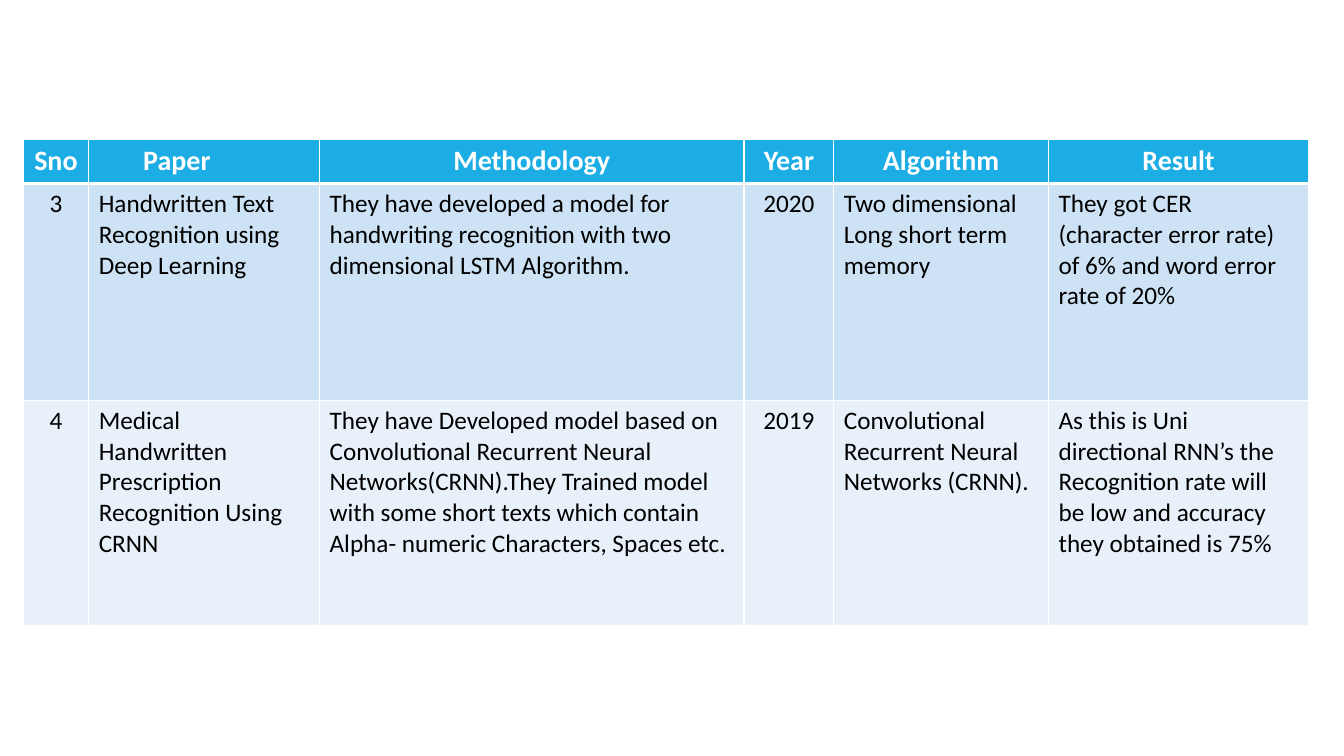
from lxml.etree import SubElement
from pptx import Presentation
from pptx.dml.color import RGBColor
from pptx.enum.text import PP_ALIGN as Align
from pptx.oxml.ns import qn
from pptx.util import Inches, Pt

COLUMN_WIDTHS = [0.65, 2.29, 4.21, 0.89, 2.13, 2.58]
ROW_HEIGHTS = [0.44, 2.15, 2.24]
ROW_FILLS = ["1CADE4", "CDE3F5", "E8F1FA"]
CENTERED_COLUMNS = {0, 3}
PAPER_COLUMN = 1
PAPER_HEADING_MARGIN = 0.54
PAPERS = [
    ["Sno", "Paper", "Methodology", "Year", "Algorithm", "Result"],
    [
        "3",
        "Handwritten Text Recognition using Deep Learning",
        "They have developed a model for handwriting recognition with two "
        "dimensional LSTM Algorithm.",
        "2020",
        "Two dimensional Long short term memory",
        "They got CER (character error rate) of 6% and word error rate of 20%",
    ],
    [
        "4",
        "Medical Handwritten Prescription Recognition Using CRNN",
        "They have Developed model based on Convolutional Recurrent Neural "
        "Networks(CRNN).They Trained model with some short texts which contain "
        "Alpha- numeric Characters, Spaces etc.",
        "2019",
        "Convolutional Recurrent Neural Networks (CRNN).",
        "As this is Uni directional RNN’s the Recognition rate will be low "
        "and accuracy they obtained is 75%",
    ],
]


def color(value):
    return RGBColor.from_string(value)


def write_text(frame, text, size=18, fill="000000", bold=False, align=Align.LEFT):
    paragraph = frame.paragraphs[0]
    paragraph.alignment = align
    run = paragraph.add_run()
    run.text = text
    run.font.name = "Calibri"
    run.font.size = Pt(size)
    run.font.bold = bold
    run.font.color.rgb = color(fill)


def set_borders(cell, top=1, bottom=1):
    properties = cell._tc.get_or_add_tcPr()
    widths = {"lnL": 1, "lnR": 1, "lnT": top, "lnB": bottom}
    for side, width in widths.items():
        line = SubElement(properties, qn(f"a:{side}"), w=str(Pt(width)))
        solid = SubElement(line, qn("a:solidFill"))
        SubElement(solid, qn("a:srgbClr"), val="FFFFFF")


def format_cell(cell, text, row, column):
    heading = row == 0
    set_borders(cell, top=3 if row == 1 else 1, bottom=3 if heading else 1)
    cell.fill.solid()
    cell.fill.fore_color.rgb = color(ROW_FILLS[row])
    if heading:
        centered = column != PAPER_COLUMN
        if not centered:
            cell.margin_left = Inches(PAPER_HEADING_MARGIN)
    else:
        centered = column in CENTERED_COLUMNS
    write_text(
        cell.text_frame,
        text,
        size=20 if heading else 18,
        fill="FFFFFF" if heading else "000000",
        bold=heading,
        align=Align.CENTER if centered else Align.LEFT,
    )


def add_paper_table(slide):
    table = slide.shapes.add_table(
        len(ROW_HEIGHTS), len(COLUMN_WIDTHS),
        Inches(0.23), Inches(1.38),
        Inches(sum(COLUMN_WIDTHS)), Inches(sum(ROW_HEIGHTS)),
    ).table
    for column, width in zip(table.columns, COLUMN_WIDTHS):
        column.width = Inches(width)
    for row, height in zip(table.rows, ROW_HEIGHTS):
        row.height = Inches(height)
    for row, texts in enumerate(PAPERS):
        for column, text in enumerate(texts):
            format_cell(table.cell(row, column), text, row, column)


def main():
    presentation = Presentation()
    presentation.slide_width = Inches(13.33)
    presentation.slide_height = Inches(7.5)
    slide = presentation.slides.add_slide(presentation.slide_layouts[6])
    add_paper_table(slide)
    presentation.save("out.pptx")


if __name__ == "__main__":
    main()
